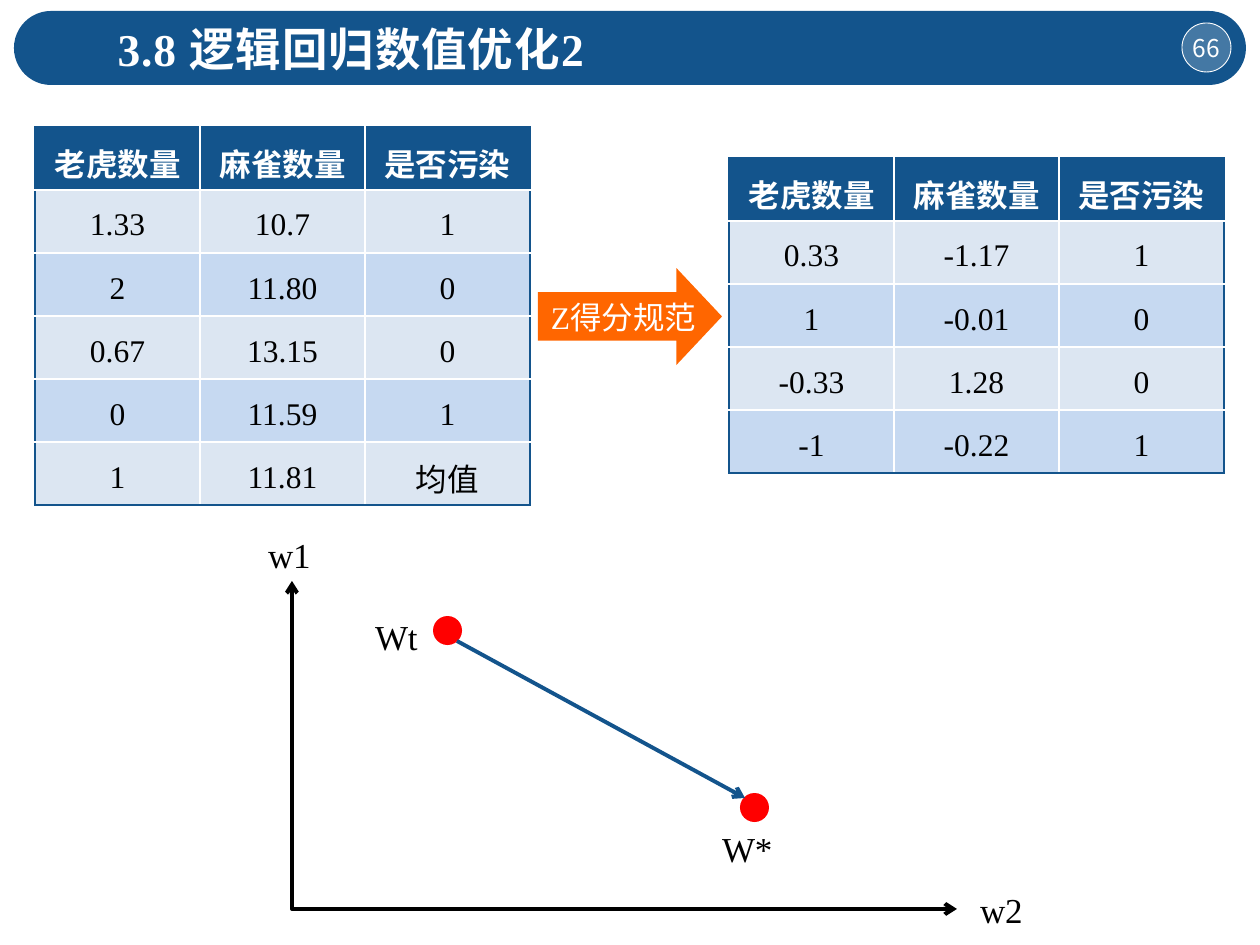
import dataclasses

import pptx
import pptx.dml.color
import pptx.enum.shapes
import pptx.enum.text
import pptx.oxml
import pptx.oxml.ns
import pptx.util

EMU_PER_PX = 914400 / 126
SHAPE = pptx.enum.shapes.MSO_SHAPE
ALIGN = pptx.enum.text.PP_ALIGN
ANCHOR = pptx.enum.text.MSO_ANCHOR


@dataclasses.dataclass(frozen=True)
class Theme:
    navy: str = "13548C"
    white: str = "FFFFFF"
    black: str = "000000"
    orange: str = "FF6600"
    red: str = "FF0000"
    bands: tuple = ("DCE6F2", "C6D9F1")
    latin: str = "Times New Roman"
    chinese: str = "Noto Sans CJK SC"
    title_size: int = 26
    label_size: int = 20
    body_size: int = 18
    badge_size: int = 14


THEME = Theme()
HEADER = ["老虎数量", "麻雀数量", "是否污染"]
RAW_ROWS = [
    ["1.33", "10.7", "1"],
    ["2", "11.80", "0"],
    ["0.67", "13.15", "0"],
    ["0", "11.59", "1"],
    ["1", "11.81", "均值"],
]
SCORE_ROWS = [
    ["0.33", "-1.17", "1"],
    ["1", "-0.01", "0"],
    ["-0.33", "1.28", "0"],
    ["-1", "-0.22", "1"],
]


def px(length):
    return pptx.util.Emu(round(length * EMU_PER_PX))


def rgb(color):
    return pptx.dml.color.RGBColor.from_string(color)


def make_xml(text):
    return pptx.oxml.parse_xml(text.replace(">", f" {pptx.oxml.ns.nsdecls('a')}>", 1))


def write(frame, text, size, color, align=ALIGN.LEFT, bold=False, latin=THEME.latin, spacing=0):
    frame.text = text
    para = frame.paragraphs[0]
    para.alignment = align
    span = para.runs[0]
    span.font.size = pptx.util.Pt(size)
    span.font.bold = bold
    span.font.name = latin
    span.font.color.rgb = rgb(color)
    properties = span.font._element
    properties.append(make_xml(f'<a:ea typeface="{THEME.chinese}"></a:ea>'))
    if spacing:
        properties.set("spc", str(spacing))


def set_margins(holder, left=0, top=0, right=0, bottom=0):
    holder.margin_left, holder.margin_top = px(left), px(top)
    holder.margin_right, holder.margin_bottom = px(right), px(bottom)


def add_block(page, kind, left, top, width, height, color):
    block = page.shapes.add_shape(kind, px(left), px(top), px(width), px(height))
    block.shadow.inherit = False
    block.fill.solid()
    block.fill.fore_color.rgb = rgb(color)
    block.line.fill.background()
    return block


def add_label(page, text, left, top):
    box = page.shapes.add_textbox(px(left), px(top), px(55), px(43))
    box.text_frame.word_wrap = True
    set_margins(box.text_frame)
    write(box.text_frame, text, THEME.label_size, THEME.black, spacing=-10)


def style_line(line, color, width, ends):
    line.color.rgb = rgb(color)
    line.width = pptx.util.Pt(width)
    outline = line._get_or_add_ln()
    for end in ends:
        outline.append(make_xml(f'<a:{end} type="arrow"></a:{end}>'))


def add_header(page):
    # Title on its band
    band = add_block(page, SHAPE.ROUNDED_RECTANGLE, 14, 11, 1232, 74, THEME.navy)
    band.adjustments[0] = 0.5
    title = page.shapes.title
    title.element.addprevious(band.element)
    title.left, title.top, title.width, title.height = px(105), px(15), px(935), px(68)
    title.text_frame.vertical_anchor = ANCHOR.TOP
    title.text_frame.auto_size = pptx.enum.text.MSO_AUTO_SIZE.NONE
    write(title.text_frame, "3.8 逻辑回归数值优化2", THEME.title_size, THEME.white,
          bold=True, spacing=50)

    # Page number badge
    badge = add_block(page, SHAPE.OVAL, 1182, 23, 49, 49, THEME.white)
    tint = badge.fill._xPr.find(".//" + pptx.oxml.ns.qn("a:srgbClr"))
    tint.append(make_xml('<a:alpha val="21000"></a:alpha>'))
    style_line(badge.line, THEME.white, 0.5, [])
    set_margins(badge.text_frame)
    badge.text_frame.word_wrap = False
    badge.text_frame.vertical_anchor = ANCHOR.MIDDLE
    write(badge.text_frame, "66", THEME.badge_size, THEME.white, ALIGN.CENTER,
          latin=THEME.chinese)


def set_borders(cell, navy_sides):
    properties = cell._tc.get_or_add_tcPr()
    for index, side in enumerate("LRTB"):
        color = THEME.navy if side in navy_sides else THEME.white
        properties.insert(index, make_xml(
            f'<a:ln{side} w="12700"><a:solidFill><a:srgbClr val="{color}"/>'
            f'</a:solidFill></a:ln{side}>'))


def add_data_table(page, rows, left, top, column_width=165, row_height=63):
    content = [HEADER] + rows
    last_row, last_column = len(content) - 1, len(HEADER) - 1
    table = page.shapes.add_table(
        len(content), len(HEADER), px(left), px(top),
        px(column_width * len(HEADER)), px(row_height * len(content))).table
    table.horz_banding = False
    for row, values in enumerate(content):
        table.rows[row].height = px(row_height)
        is_header = row == 0
        for column, value in enumerate(values):
            cell = table.cell(row, column)
            set_margins(cell, top=6 if row == 1 else 9)
            cell.vertical_anchor = ANCHOR.MIDDLE
            cell.fill.solid()
            cell.fill.fore_color.rgb = rgb(
                THEME.navy if is_header else THEME.bands[(row - 1) % 2])
            write(cell.text_frame, value, THEME.body_size,
                  THEME.white if is_header else THEME.black, ALIGN.CENTER, is_header)
            outer = {"L": column == 0, "R": column == last_column,
                     "T": is_header, "B": row == last_row}
            set_borders(cell, [side for side, on_edge in outer.items() if on_edge])


def add_step_arrow(page):
    arrow = add_block(page, SHAPE.RIGHT_ARROW, 538, 268, 184, 97, THEME.orange)
    arrow.adjustments[0] = 0.5
    arrow.adjustments[1] = 0.47
    set_margins(arrow.text_frame, left=10)
    arrow.text_frame.word_wrap = False
    arrow.text_frame.vertical_anchor = ANCHOR.MIDDLE
    write(arrow.text_frame, "Z得分规范", THEME.body_size, THEME.white, ALIGN.CENTER)


def add_weight_plot(page):
    # Both axes as one open outline
    builder = page.shapes.build_freeform(957, 909, scale=EMU_PER_PX)
    builder.add_line_segments([(292, 909), (292, 581)], close=False)
    axes = builder.convert_to_shape()
    axes.shadow.inherit = False
    axes.fill.background()
    style_line(axes.line, THEME.black, 2.25, ["headEnd", "tailEnd"])

    # Start and optimum, with the step between them
    for left, top in [(433, 616), (740, 793)]:
        add_block(page, SHAPE.OVAL, left, top, 29, 29, THEME.red)
    step = page.shapes.add_connector(
        pptx.enum.shapes.MSO_CONNECTOR.STRAIGHT, px(457), px(641), px(745), px(798))
    style_line(step.line, THEME.navy, 2.25, ["tailEnd"])
    step.element.spPr.append(make_xml("<a:effectLst></a:effectLst>"))

    for text, left, top in [("w1", 268, 533), ("w2", 980, 888),
                            ("W*", 722, 827), ("Wt", 375, 615)]:
        add_label(page, text, left, top)


def main():
    deck = pptx.Presentation()
    deck.slide_width, deck.slide_height = px(1260), px(945)
    page = deck.slides.add_slide(deck.slide_layouts[5])
    add_header(page)
    add_step_arrow(page)
    add_data_table(page, RAW_ROWS, 35, 127)
    add_data_table(page, SCORE_ROWS, 729, 158)
    add_weight_plot(page)
    deck.save("out.pptx")


if __name__ == "__main__":
    main()
